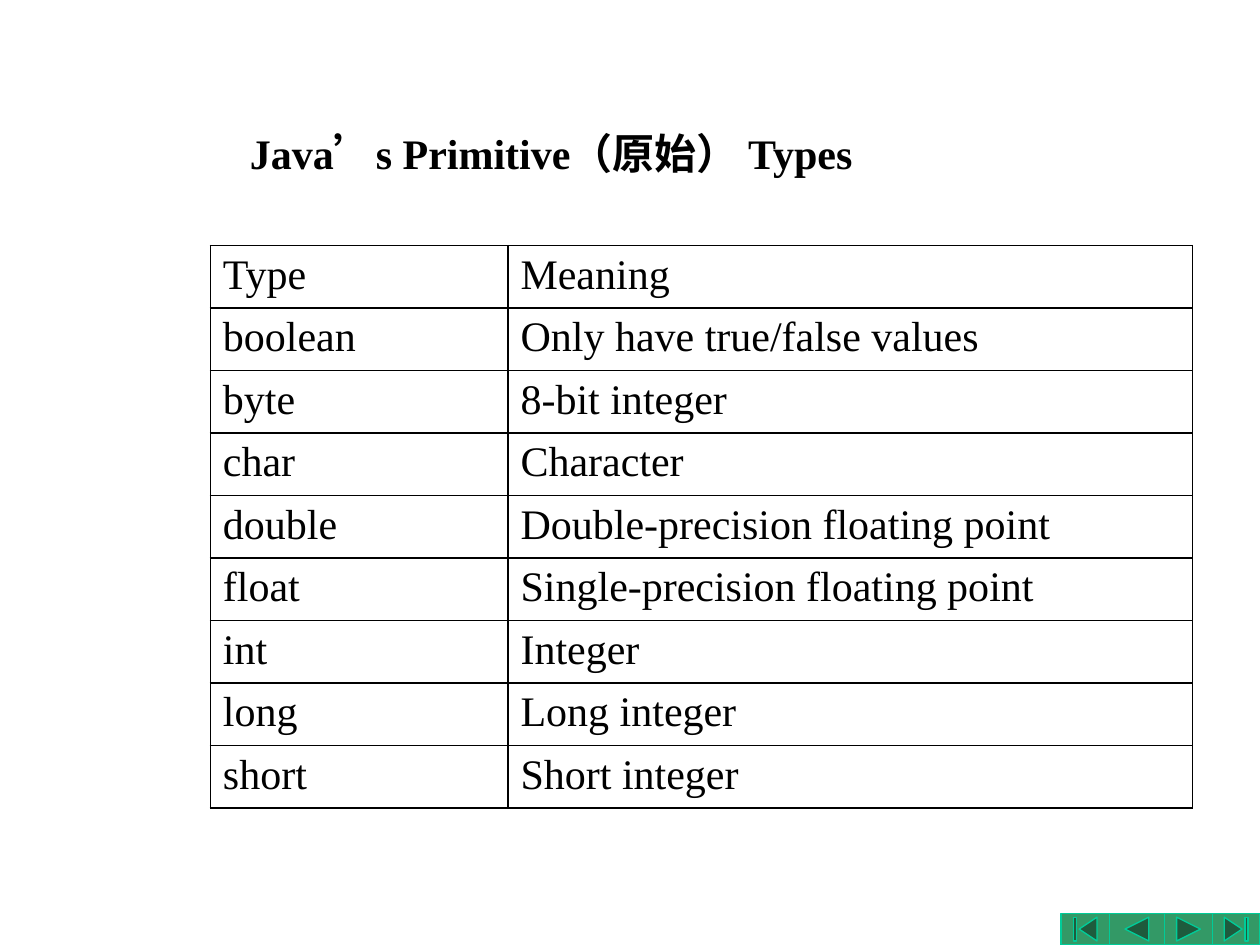
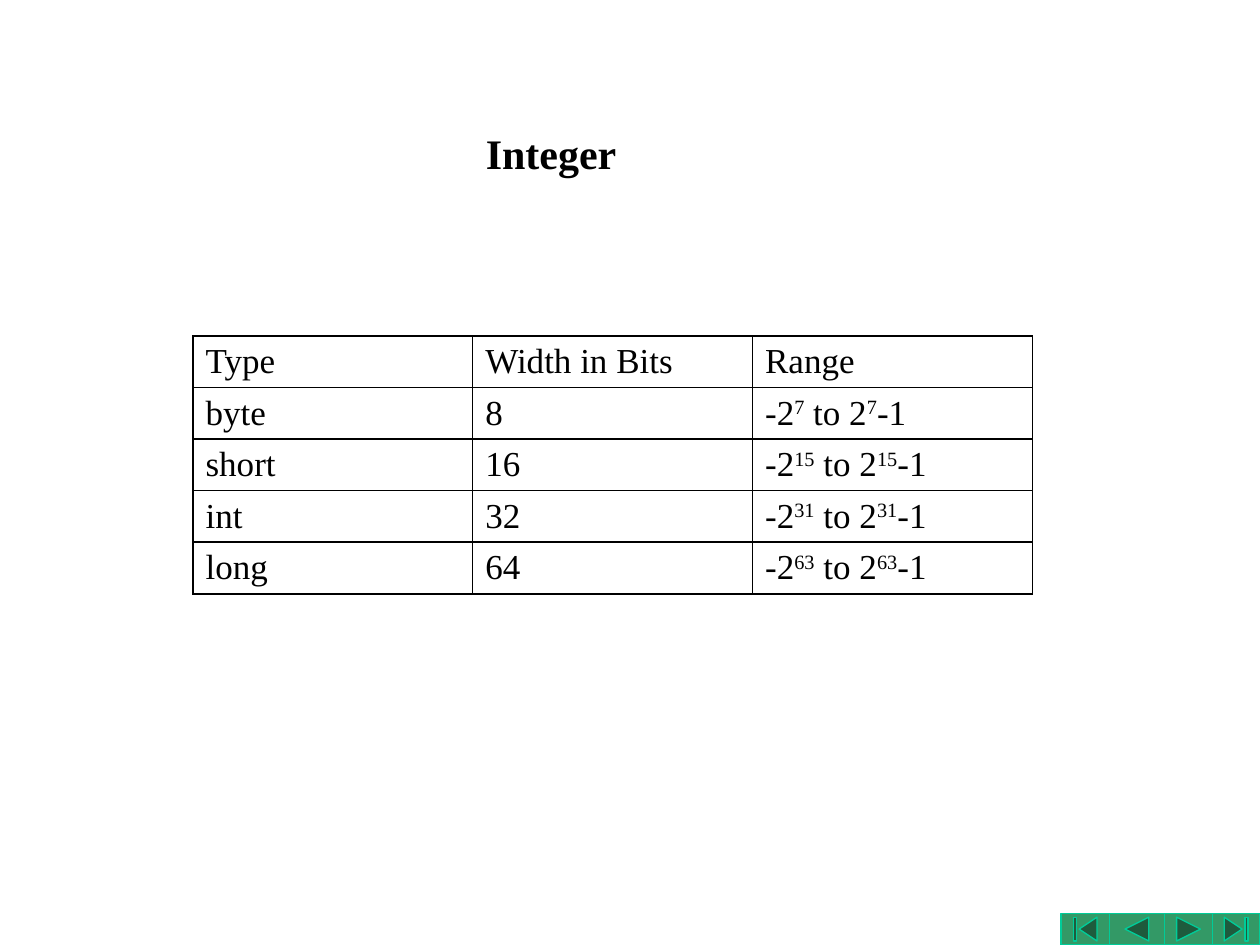
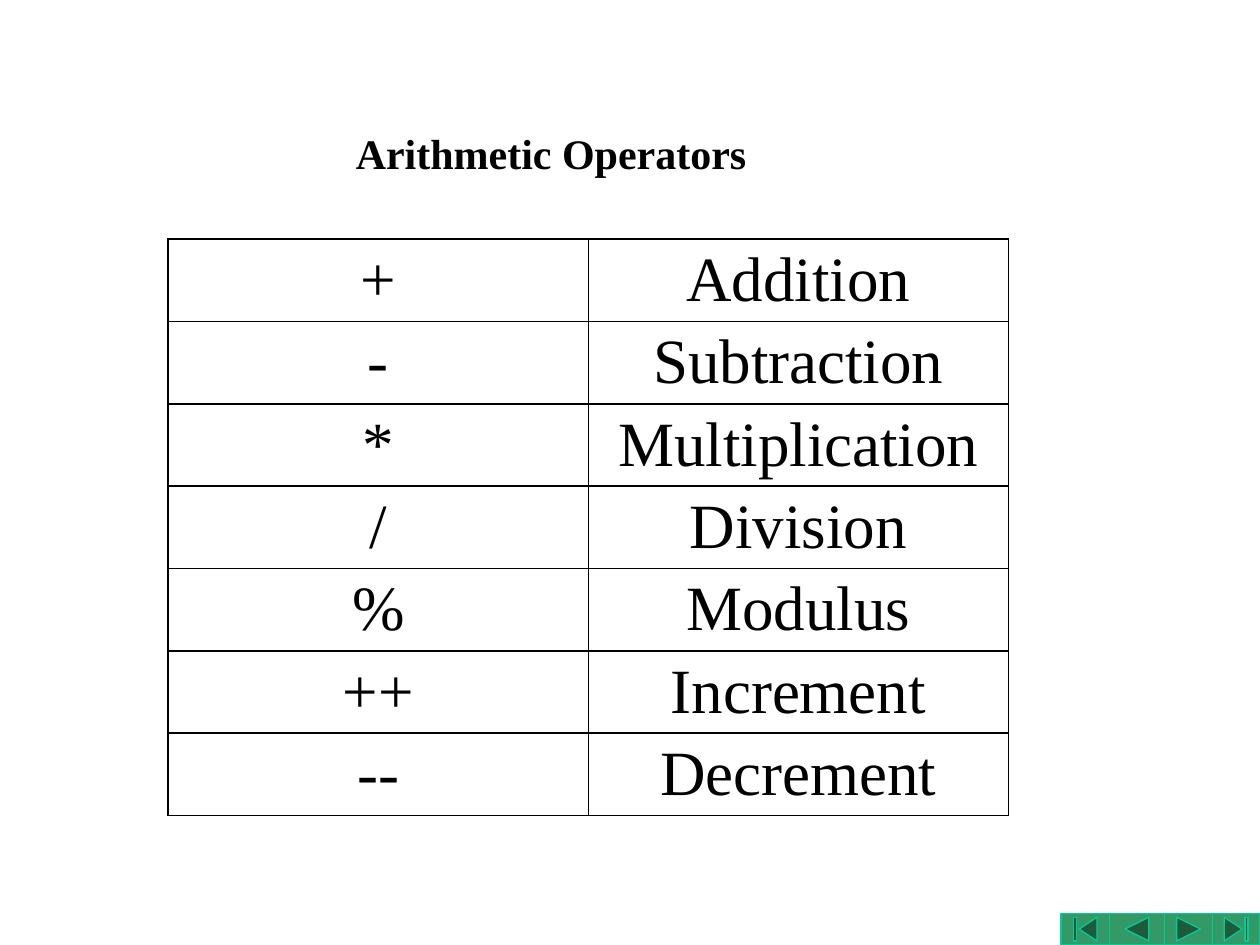
from lxml import etree
from pptx import Presentation
from pptx.dml.color import RGBColor
from pptx.enum import lang, shapes, text
from pptx.oxml import ns
from pptx.util import Cm, Pt

COLORS = {"text": "000000", "border": "000000", "button": "339966", "button_line": "00CC99"}
FONT = "Times New Roman"
SLIDE_WIDTH, SLIDE_HEIGHT = 25.4, 19.05
BUTTON_HEIGHT = 0.64
BUTTONS = [
    (shapes.MSO_SHAPE.ACTION_BUTTON_BEGINNING, 0.97),
    (shapes.MSO_SHAPE.ACTION_BUTTON_BACK_OR_PREVIOUS, 1.12),
    (shapes.MSO_SHAPE.ACTION_BUTTON_FORWARD_OR_NEXT, 0.96),
    (shapes.MSO_SHAPE.ACTION_BUTTON_END, 0.96),
]

PRIMITIVE_TYPES = [
    ("Type", "Meaning"),
    ("boolean", "Only have true/false values"),
    ("byte", "8-bit integer"),
    ("char", "Character"),
    ("double", "Double-precision floating point"),
    ("float", "Single-precision floating point"),
    ("int", "Integer"),
    ("long", "Long integer"),
    ("short", "Short integer"),
]
INTEGER_WIDTHS = [("byte", 8), ("short", 16), ("int", 32), ("long", 64)]
INTEGER_RANGES = [("Type", "Width in Bits", "Range")] + [
    (name, str(bits), f"-2^{bits - 1}^ to 2^{bits - 1}^-1") for name, bits in INTEGER_WIDTHS
]
OPERATORS = [
    ("+", "Addition"),
    ("-", "Subtraction"),
    ("*", "Multiplication"),
    ("/", "Division"),
    ("%", "Modulus"),
    ("++", "Increment"),
    ("--", "Decrement"),
]


def rgb(name):
    return RGBColor.from_string(COLORS[name])


def write_text(frame, content, size=24, bold=False, align=text.PP_ALIGN.LEFT, language=None):
    """Write one paragraph; parts between ^ marks are raised."""
    paragraph = frame.paragraphs[0]
    paragraph.alignment = align
    for index, part in enumerate(content.split("^")):
        run = paragraph.add_run()
        run.text = part
        run.font.name = FONT
        run.font.size = Pt(size)
        run.font.bold = bold
        run.font.color.rgb = rgb("text")
        if language:
            run.font.language_id = language
        if index % 2:
            run._r.get_or_add_rPr().set("baseline", "30000")


def add_titled_slide(presentation, title):
    slide = presentation.slides.add_slide(presentation.slide_layouts[5])
    shape = slide.shapes.title
    shape.left, shape.top, shape.width, shape.height = Cm(1.9), Cm(2.12), Cm(18.42), Cm(1.9)
    shape.text_frame.vertical_anchor = text.MSO_ANCHOR.MIDDLE
    write_text(shape.text_frame, title, bold=True, align=text.PP_ALIGN.CENTER,
               language=lang.MSO_LANGUAGE_ID.SIMPLIFIED_CHINESE)
    return slide


def set_borders(cell, width=1):
    properties = cell._tc.get_or_add_tcPr()
    for side in ("lnL", "lnR", "lnT", "lnB"):
        line = etree.SubElement(properties, ns.qn(f"a:{side}"), w=str(Pt(width)))
        fill = etree.SubElement(line, ns.qn("a:solidFill"))
        etree.SubElement(fill, ns.qn("a:srgbClr"), val=COLORS["border"])


def add_grid(slide, rows, left, top, column_widths, row_height, **text_format):
    table = slide.shapes.add_table(
        len(rows), len(column_widths), Cm(left), Cm(top),
        Cm(sum(column_widths)), Cm(row_height * len(rows))).table
    table.first_row = table.horz_banding = False
    for column, width in zip(table.columns, column_widths):
        column.width = Cm(width)
    for row, contents in zip(table.rows, rows):
        row.height = Cm(row_height)
        for cell, content in zip(row.cells, contents):
            set_borders(cell)
            cell.fill.background()
            write_text(cell.text_frame, content, **text_format)


def add_navigation(slide):
    """Build the button bar and move it to the master, so every slide shows it."""
    group = slide.shapes.add_group_shape()
    left = SLIDE_WIDTH - sum(width for _, width in BUTTONS)
    for kind, width in BUTTONS:
        button = group.shapes.add_shape(
            kind, Cm(left), Cm(SLIDE_HEIGHT - BUTTON_HEIGHT), Cm(width), Cm(BUTTON_HEIGHT))
        button.shadow.inherit = False
        button.fill.solid()
        button.fill.fore_color.rgb = rgb("button")
        button.line.color.rgb = rgb("button_line")
        button.line.width = Pt(0.75)
        left += width
    slide.slide_layout.slide_master.element.cSld.spTree.append(group.element)


def main():
    presentation = Presentation()
    presentation.slide_width, presentation.slide_height = Cm(SLIDE_WIDTH), Cm(SLIDE_HEIGHT)

    types_slide = add_titled_slide(presentation, "Java’s Primitive（原始） Types")
    add_navigation(types_slide)
    add_grid(types_slide, PRIMITIVE_TYPES, 4.24, 4.95, [6, 13.8], 1.26)

    integer_slide = add_titled_slide(presentation, "Integer")
    add_grid(integer_slide, INTEGER_RANGES, 3.89, 6.77, [5.64] * 3, 1.04, size=20)

    operators_slide = add_titled_slide(presentation, "Arithmetic Operators")
    add_grid(operators_slide, OPERATORS, 3.39, 4.82, [8.47] * 2, 1.66,
             size=36, align=text.PP_ALIGN.CENTER)

    presentation.save("out.pptx")


if __name__ == "__main__":
    main()
